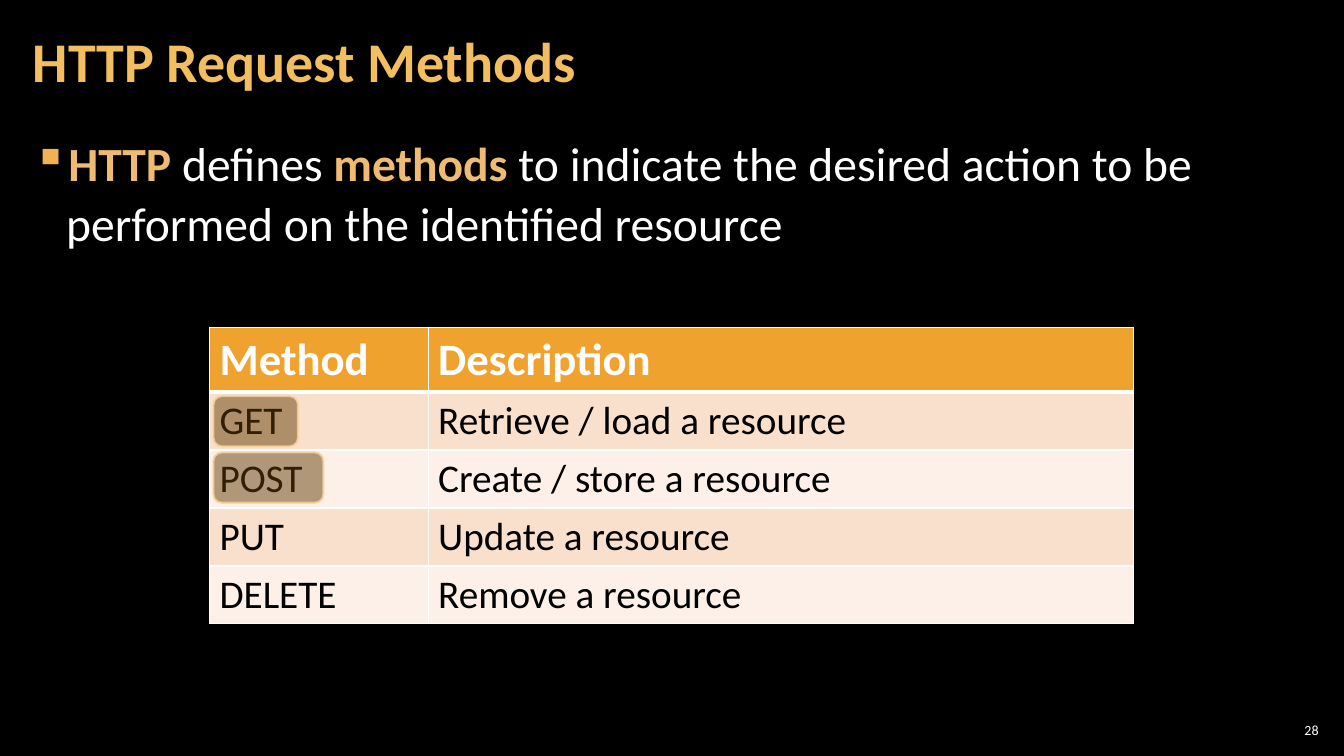
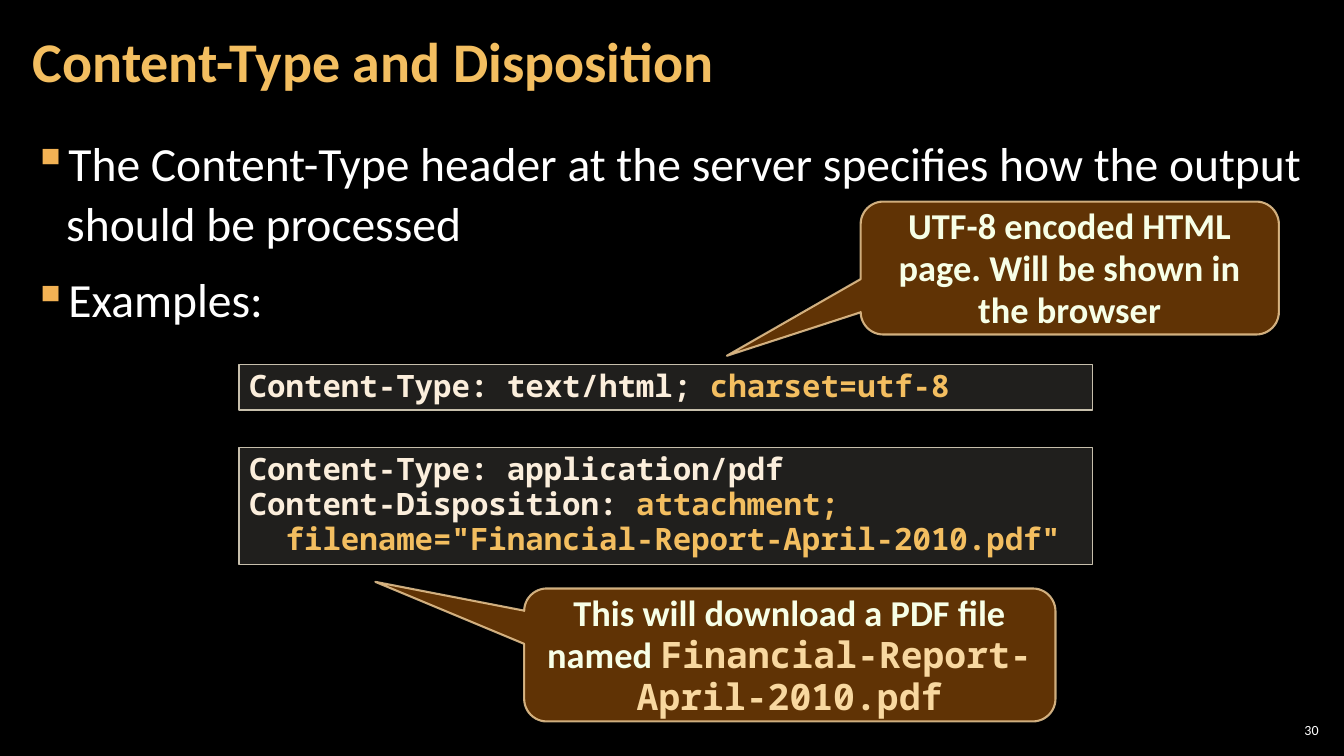
from dataclasses import dataclass, field
from typing import NamedTuple

from lxml import etree
from pptx import Presentation
from pptx.dml.color import RGBColor
from pptx.enum.shapes import MSO_SHAPE
from pptx.enum.text import MSO_ANCHOR, MSO_AUTO_SIZE, PP_ALIGN
from pptx.oxml.ns import qn
from pptx.util import Cm, Pt

RECT, ROUND = MSO_SHAPE.RECTANGLE, MSO_SHAPE.ROUNDED_RECTANGLE
CALL = MSO_SHAPE.ROUNDED_RECTANGULAR_CALLOUT
TOP, MIDDLE = MSO_ANCHOR.TOP, MSO_ANCHOR.MIDDLE
LEFT, CENTER, RIGHT = PP_ALIGN.LEFT, PP_ALIGN.CENTER, PP_ALIGN.RIGHT
GROW, FIXED = MSO_AUTO_SIZE.SHAPE_TO_FIT_TEXT, MSO_AUTO_SIZE.NONE

BLACK = RGBColor(0x00, 0x00, 0x00)
WHITE = RGBColor(0xFF, 0xFF, 0xFF)
GOLD = RGBColor(0xF3, 0xBE, 0x60)
AMBER = RGBColor(0xEF, 0xBB, 0x72)
BULLET = RGBColor(0xF2, 0xB2, 0x54)
HEADER = RGBColor(0xF0, 0xA2, 0x2E)
BANDS = (RGBColor(0xF9, 0xE0, 0xCD), RGBColor(0xFC, 0xF0, 0xE8))
MARK = RGBColor(0x64, 0x3F, 0x07)
BROWN = RGBColor(0x66, 0x36, 0x06)
EDGE = RGBColor(0xF8, 0xD4, 0x9E)
SAND = RGBColor(0xD9, 0xD5, 0xC7)
RIM = RGBColor(0xC7, 0xBF, 0xAC)
CREAM = RGBColor(0xFB, 0xEE, 0xDC)
IVORY = RGBColor(0xF7, 0xFF, 0xE7)
PEACH = RGBColor(0xF8, 0xD8, 0xA0)

SANS, MONO = "Calibri", "Noto Sans Mono"
TITLE = {"size": Pt(40), "name": SANS, "bold": True}
BODY = {"size": Pt(34), "name": SANS, "bold": False}
STRONG = {**BODY, "bold": True}
SMALL = {"size": Pt(10), "name": SANS}
HEAD = {"size": Pt(32), "name": SANS, "bold": True}
CELL = {"size": Pt(28), "name": SANS, "bold": False}
CODE = {"size": Pt(22), "name": MONO, "bold": True}
NOTE = {"size": Pt(26), "name": SANS, "bold": True}
FILE = {**NOTE, "name": MONO}

INSET = {"margin_left": Cm(0.3), "margin_right": Cm(0.3),
         "margin_top": Cm(0.1), "margin_bottom": Cm(0.1)}
TIGHT = dict.fromkeys(INSET, Cm(0.1))
INDENT = 0.84


class Run(NamedTuple):
    text: str
    tint: RGBColor
    font: dict


Lines = list[list[Run]]


class Box(NamedTuple):
    """Left, top, width and height in centimetres."""
    left: float
    top: float
    width: float
    height: float

    def cm(self) -> list:
        return [Cm(side) for side in self]


@dataclass
class Panel:
    kind: MSO_SHAPE
    box: Box
    fill: RGBColor
    line: RGBColor
    alphas: tuple
    width: float = 1.5
    adjust: tuple = ()
    lines: Lines = field(default_factory=list)
    frame: dict = field(default_factory=dict)
    para: dict = field(default_factory=dict)


def apply(target, values: dict) -> None:
    for name, value in values.items():
        setattr(target, name, value)


def bullet(para) -> None:
    props = para._p.get_or_add_pPr()
    props.set("marL", str(Cm(INDENT)))
    props.set("indent", str(-Cm(INDENT)))
    tint = etree.SubElement(props, qn("a:buClr"))
    etree.SubElement(tint, qn("a:srgbClr"), val=str(BULLET))
    etree.SubElement(props, qn("a:buChar"), char="▪")


def write(frame, lines: Lines, form: dict, para: dict, dots: bool = False) -> None:
    apply(frame, {"word_wrap": True, **form})
    for i, runs in enumerate(lines):
        item = frame.add_paragraph() if i else frame.paragraphs[0]
        if dots:
            bullet(item)
        apply(item, para)
        for run in runs:
            part = item.add_run()
            part.text = run.text
            apply(part.font, run.font)
            part.font.color.rgb = run.tint


def label(slide, box: Box, lines: Lines, form: dict, para: dict,
          dots: bool = False) -> None:
    frame = slide.shapes.add_textbox(*box.cm()).text_frame
    write(frame, lines, form, para, dots)


def draw(slide, panel: Panel) -> None:
    shape = slide.shapes.add_shape(panel.kind, *panel.box.cm())
    shape.shadow.inherit = False
    for i, value in enumerate(panel.adjust):
        shape.adjustments[i] = value
    shape.fill.solid()
    shape.fill.fore_color.rgb = panel.fill
    shape.line.color.rgb = panel.line
    shape.line.width = Pt(panel.width)
    tints = shape._element.spPr.iter(qn("a:srgbClr"))
    for tint, alpha in zip(tints, panel.alphas):
        etree.SubElement(tint, qn("a:alpha"), val=str(alpha * 1000))
    if panel.lines:
        write(shape.text_frame, panel.lines, panel.frame, panel.para)


def border(cell, widths: dict) -> None:
    """Draw white cell edges; call before the cell is filled."""
    props = cell._tc.get_or_add_tcPr()
    for side, width in widths.items():
        line = etree.SubElement(props, qn(f"a:ln{side}"), w=str(Pt(width)))
        fill = etree.SubElement(line, qn("a:solidFill"))
        etree.SubElement(fill, qn("a:srgbClr"), val=str(WHITE))


def grid(slide, box: Box, cols: list, tall: list, rows: list) -> None:
    table = slide.shapes.add_table(len(rows), len(cols), *box.cm()).table
    for col, width in zip(table.columns, cols):
        col.width = Cm(width)
    for r, texts in enumerate(rows):
        table.rows[r].height = Cm(tall[r])
        tint, font = (CELL and BLACK, CELL) if r else (WHITE, HEAD)
        for c, text in enumerate(texts):
            cell = table.cell(r, c)
            border(cell, {"L": 1, "R": 1, "T": 3 if r == 1 else 1,
                          "B": 1 if r else 3})
            cell.fill.solid()
            cell.fill.fore_color.rgb = BANDS[(r - 1) % 2] if r else HEADER
            write(cell.text_frame, [[Run(text, tint, font)]], {}, {})


def start(deck, title: str, number: int, body: Lines):
    """Add a slide with the shared background, number, body and title."""
    slide = deck.slides.add_slide(deck.slide_layouts[6])
    slide.background.fill.solid()
    slide.background.fill.fore_color.rgb = BLACK
    label(slide, Box(32.13, 18.14, 1.2, 0.53), [[Run(str(number), WHITE, SMALL)]],
          {**TIGHT, "vertical_anchor": MIDDLE}, {"alignment": RIGHT})
    label(slide, Box(0.53, 3.2, 32.8, 15.47), body, INSET,
          {"line_spacing": 1.05, "space_after": Pt(12)}, dots=True)
    label(slide, Box(0.53, 0.1, 26.6, 3.07), [[Run(title, GOLD, TITLE)]],
          {**INSET, "vertical_anchor": MIDDLE}, {"line_spacing": 0.9})
    return slide


def mark(row: int, width: float) -> Panel:
    return Panel(ROUND, Box(5.38, 9.98 + 1.42 * row, width, 1.27),
                 MARK, EDGE, (50, 80))


def code(top: float, height: float, lines: Lines) -> Panel:
    return Panel(RECT, Box(6.02, top, 21.51, height), SAND, RIM, (15,), 1,
                 lines=lines, frame={"vertical_anchor": TOP, "auto_size": GROW},
                 para={"alignment": LEFT, "line_spacing": 0.95})


def callout(box: Box, tip: tuple, runs: list[Run]) -> Panel:
    return Panel(CALL, box, BROWN, EDGE, (95, 80), adjust=(*tip, 0.17),
                 lines=[runs],
                 frame={"vertical_anchor": MIDDLE, "auto_size": FIXED},
                 para={"alignment": CENTER, "line_spacing": Pt(30)})


def methods(deck) -> None:
    slide = start(deck, "HTTP Request Methods", 28, [[
        Run("HTTP", AMBER, STRONG), Run(" defines ", WHITE, BODY),
        Run("methods", AMBER, STRONG),
        Run(" to indicate the desired action to be performed on the "
            "identified resource", WHITE, BODY)]])
    grid(slide, Box(5.28, 8.25, 23.29, 7.47), [5.51, 17.78], [1.63] + [1.46] * 4, [
        ("Method", "Description"),
        ("GET", "Retrieve / load a resource"),
        ("POST", "Create / store a resource"),
        ("PUT", "Update a resource"),
        ("DELETE", "Remove a resource")])
    for row, width in enumerate((2.13, 2.77)):
        draw(slide, mark(row, width))


def content(deck) -> None:
    slide = start(deck, "Content-Type and Disposition", 30, [
        [Run("The Content-Type header at the server specifies how the output "
             "should be processed", WHITE, BODY)],
        [Run("Examples:", WHITE, BODY)]])
    panels = [
        code(9.19, 1.14, [[Run("Content-Type: text/html; ", CREAM, CODE),
                           Run("charset=utf-8", GOLD, CODE)]]),
        code(11.28, 2.95, [
            [Run("Content-Type: application/pdf", CREAM, CODE)],
            [Run("Content-Disposition: ", CREAM, CODE),
             Run("attachment;", GOLD, CODE)],
            [Run('  filename="Financial-Report-April-2010.pdf"', GOLD, CODE)]]),
        callout(Box(21.69, 5.08, 10.54, 3.35), (-0.82, 0.66), [
            Run("UTF-8 encoded HTML page. Will be shown in the browser",
                IVORY, NOTE)]),
        callout(Box(13.21, 14.83, 13.39, 3.35), (-0.78, -0.55), [
            Run("This will download a PDF file named ", IVORY, NOTE),
            Run("Financial-Report-April-2010.pdf", PEACH, FILE)])]
    for panel in panels:
        draw(slide, panel)


def main() -> None:
    deck = Presentation()
    apply(deck, {"slide_width": Cm(33.87), "slide_height": Cm(19.05)})
    methods(deck)
    content(deck)
    deck.save("out.pptx")


if __name__ == "__main__":
    main()
